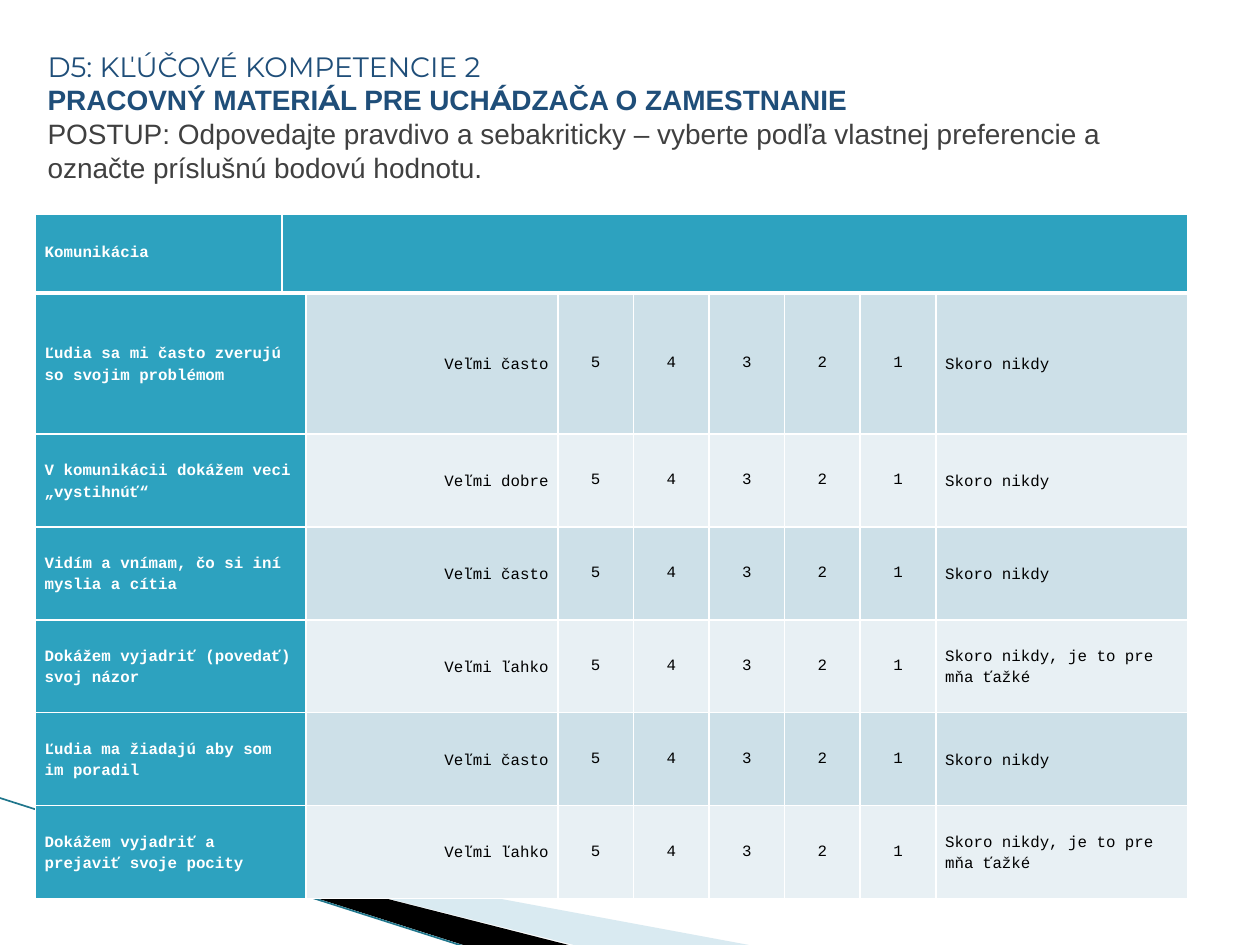
import lxml.etree
import pptx
import pptx.dml.color
import pptx.enum.shapes
import pptx.enum.text
import pptx.oxml.ns
import pptx.util

Pt = pptx.util.Pt
ALIGN = pptx.enum.text.PP_ALIGN
MIDDLE = pptx.enum.text.MSO_ANCHOR.MIDDLE
TEAL, WHITE, BLACK, NAVY, GREY = "2DA2BF", "FFFFFF", "000000", "1F4E79", "404040"
BANDS = ["CDE0E8", "E8F0F4"]
SCORES = ["5", "4", "3", "2", "1"]
COLUMN_WIDTHS = [141, 13, 144] + [43.2] * len(SCORES) + [144]
ROW_HEIGHTS = [45, 80.5] + [53.1] * 5
STATEMENTS = [
    ("Ľudia sa mi často zverujú so svojim problémom", "Veľmi často", "Skoro nikdy"),
    ("V komunikácii dokážem veci „vystihnúť“", "Veľmi dobre", "Skoro nikdy"),
    ("Vidím a vnímam, čo si iní myslia a cítia", "Veľmi často", "Skoro nikdy"),
    ("Dokážem vyjadriť (povedať) svoj názor", "Veľmi ľahko", "Skoro nikdy, je to pre mňa ťažké"),
    ("Ľudia ma žiadajú aby som im poradil", "Veľmi často", "Skoro nikdy"),
    ("Dokážem vyjadriť a prejaviť svoje pocity", "Veľmi ľahko", "Skoro nikdy, je to pre mňa ťažké"),
]
HEADING = [
    [("D5: KĽÚČOVÉ KOMPETENCIE 2", "Montserrat", NAVY, False)],
    [
        ("PRACOVNÝ MATERI", "Arial", NAVY, True),
        ("Á", "Montserrat", NAVY, True),
        ("L PRE UCH", "Arial", NAVY, True),
        ("Á", "Montserrat", NAVY, True),
        ("DZAČA O ZAMESTNANIE", "Arial", NAVY, True),
    ],
    [("POSTUP: Odpovedajte pravdivo a sebakriticky – vyberte podľa vlastnej preferencie "
      "a označte príslušnú bodovú hodnotu.", "Arial", GREY, False)],
]


def rgb(hex_color):
    """Turn a hex string into a colour."""
    return pptx.dml.color.RGBColor.from_string(hex_color)


def add_element(parent, tag, **attributes):
    """Append a drawing element with the given attributes."""
    return lxml.etree.SubElement(parent, pptx.oxml.ns.qn(tag), attributes)


def style_run(run, size, font_name, color, bold):
    """Set the look of a run."""
    run.font.size = Pt(size)
    run.font.name = font_name
    run.font.bold = bold
    run.font.color.rgb = rgb(color)


def add_wedge(slide, points, color, opacity=100):
    """Draw a filled outline without a line."""
    builder = slide.shapes.build_freeform(*points[0], scale=Pt(1))
    builder.add_line_segments(points[1:], close=True)
    wedge = builder.convert_to_shape()
    wedge.shadow.inherit = False
    wedge.line.fill.background()
    wedge.fill.solid()
    wedge.fill.fore_color.rgb = rgb(color)
    if opacity < 100:
        color_element = wedge.fill._xPr.find(".//" + pptx.oxml.ns.qn("a:srgbClr"))
        add_element(color_element, "a:alpha", val=str(opacity * 1000))


def add_edge(slide, start, end, color, width):
    """Draw a straight line without a shadow."""
    straight = pptx.enum.shapes.MSO_CONNECTOR.STRAIGHT
    edge = slide.shapes.add_connector(straight, *map(Pt, start + end))
    edge.line.color.rgb = rgb(color)
    edge.line.width = Pt(width)
    add_element(edge._element.spPr, "a:effectLst")


def add_heading(slide):
    """Add the heading with its instructions."""
    heading = slide.shapes.add_textbox(Pt(20.16), Pt(21.6), Pt(664), Pt(90))
    frame = heading.text_frame
    frame.word_wrap = True
    frame.vertical_anchor = MIDDLE
    for index, parts in enumerate(HEADING):
        paragraph = frame.add_paragraph() if index else frame.paragraphs[0]
        paragraph.line_spacing = Pt(19.2)
        for text, font_name, color, bold in parts:
            run = paragraph.add_run()
            run.text = text
            style_run(run, 16, font_name, color, bold)


def style_cell(cell, fill, top=1, bottom=1):
    """Fill a cell and give it white borders."""
    cell.fill.solid()
    cell.fill.fore_color.rgb = rgb(fill)
    cell.vertical_anchor = MIDDLE
    cell.margin_left = cell.margin_right = Pt(5.4)
    cell.margin_top = cell.margin_bottom = 0
    properties = cell._tc.get_or_add_tcPr()
    for index, (side, width) in enumerate(zip("LRTB", (1, 1, top, bottom))):
        border = add_element(properties, "a:ln" + side, w=str(Pt(width)))
        add_element(add_element(border, "a:solidFill"), "a:srgbClr", val=WHITE)
        properties.insert(index, border)


def write_cell(cell, text, color, bold=False, align=ALIGN.LEFT, spacing=1.2):
    """Write one paragraph into a cell."""
    cell.text_frame.text = text
    paragraph = cell.text_frame.paragraphs[0]
    paragraph.alignment = align
    paragraph.line_spacing = spacing
    style_run(paragraph.runs[0], 9, "Courier New", color, bold)


def add_questionnaire(slide):
    """Add the table of statements and scores."""
    rows, columns = len(ROW_HEIGHTS), len(COLUMN_WIDTHS)
    table = slide.shapes.add_table(
        rows, columns, Pt(20.16), Pt(122.5), Pt(sum(COLUMN_WIDTHS)), Pt(sum(ROW_HEIGHTS))
    ).table
    for column, width in zip(table.columns, COLUMN_WIDTHS):
        column.width = Pt(width)
    for row, height in zip(table.rows, ROW_HEIGHTS):
        row.height = Pt(height)

    for column in range(columns):
        style_cell(table.cell(0, column), TEAL, bottom=3)
    table.cell(0, 1).merge(table.cell(0, columns - 1))
    write_cell(table.cell(0, 0), "Komunikácia", WHITE, bold=True, spacing=1.0)

    for row, (statement, high, low) in enumerate(STATEMENTS, 1):
        for column in range(columns):
            fill = TEAL if column < 2 else BANDS[(row - 1) % 2]
            style_cell(table.cell(row, column), fill, top=3 if row == 1 else 1)
        table.cell(row, 0).merge(table.cell(row, 1))
        write_cell(table.cell(row, 0), statement, WHITE, bold=True)
        write_cell(table.cell(row, 2), high, BLACK, align=ALIGN.RIGHT)
        for column, score in enumerate(SCORES, 3):
            write_cell(table.cell(row, column), score, BLACK, align=ALIGN.CENTER, spacing=1.0)
        write_cell(table.cell(row, columns - 1), low, BLACK)


def main():
    """Build and save the slide."""
    presentation = pptx.Presentation()
    presentation.slide_width, presentation.slide_height = Pt(720), Pt(540)
    slide = presentation.slides.add_slide(presentation.slide_layouts[6])
    add_wedge(slide, [(39.6, 468), (428.4, 540.5), (328.3, 540.5)], "A0CBDC", opacity=40)
    add_wedge(slide, [(38.2, 467.3), (329, 540.7), (267.8, 541), (38.9, 468)], BLACK)
    add_edge(slide, (-0.7, 455.8), (267.1, 541.4), "1F768C", 0.95)
    add_questionnaire(slide)
    add_heading(slide)
    presentation.save("out.pptx")


if __name__ == "__main__":
    main()
